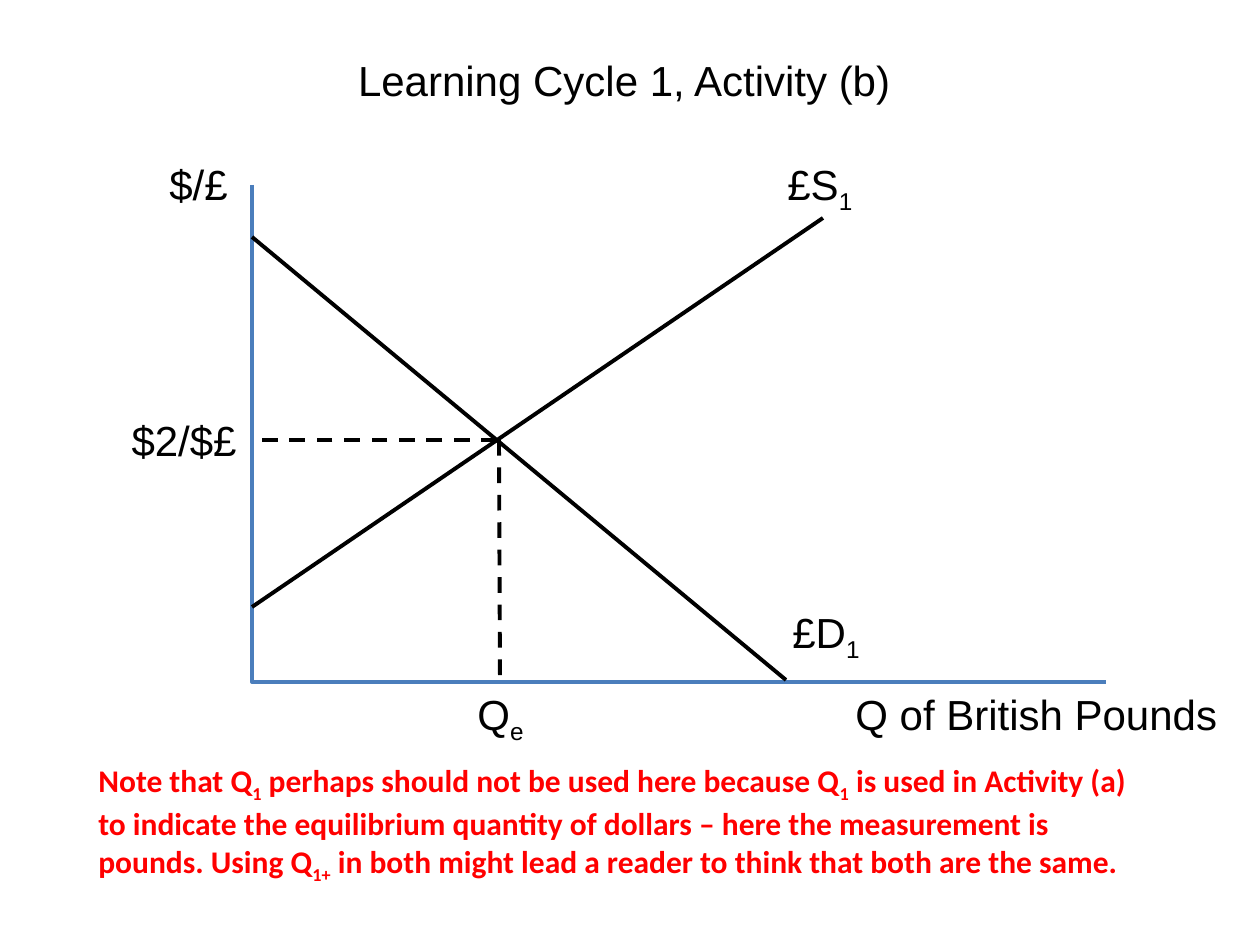
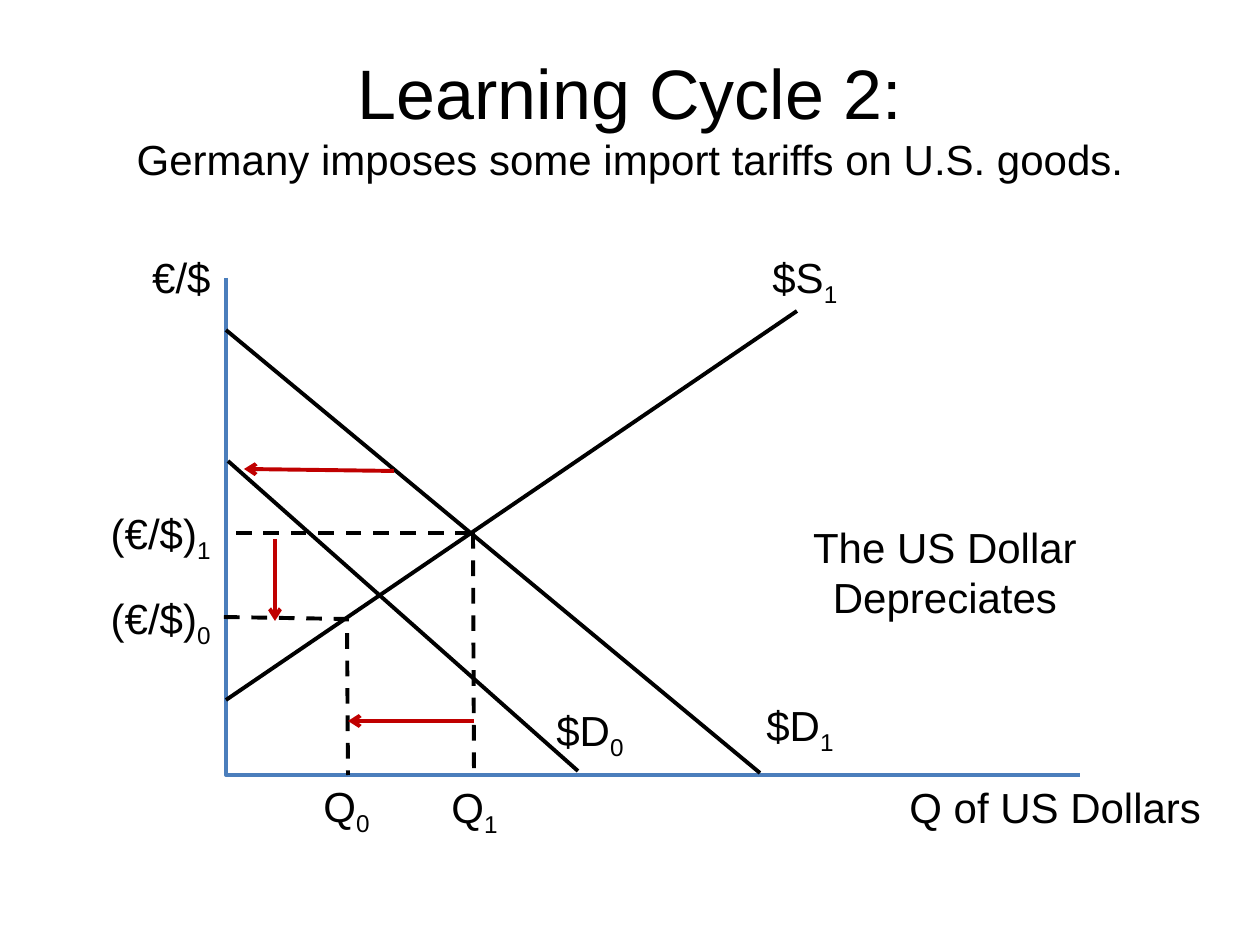
from lxml import etree
from pptx import Presentation
from pptx.dml.color import RGBColor
from pptx.enum.dml import MSO_LINE
from pptx.enum.shapes import MSO_CONNECTOR
from pptx.enum.text import MSO_ANCHOR, MSO_AUTO_SIZE, PP_ALIGN
from pptx.oxml.ns import qn
from pptx.util import Emu, Pt

BLACK = RGBColor(0x00, 0x00, 0x00)
AXIS_BLUE = RGBColor(0x4B, 0x7E, 0xBC)
SHIFT_RED = RGBColor(0xC0, 0x00, 0x00)
NOTE_RED = RGBColor(0xFF, 0x00, 0x00)
DASH = MSO_LINE.DASH
STRAIGHT = MSO_CONNECTOR.STRAIGHT
MIDDLE, TOP = MSO_ANCHOR.MIDDLE, MSO_ANCHOR.TOP
GROW = MSO_AUTO_SIZE.SHAPE_TO_FIT_TEXT
LEFT, CENTER, RIGHT = PP_ALIGN.LEFT, PP_ALIGN.CENTER, PP_ALIGN.RIGHT
LABEL_HEIGHT = 63
AXIS_WIDTH, AXIS_HEIGHT = 854, 497


def px(length):
    """Turn picture pixels into EMU."""
    return Emu(round(length * 914400 / 126))


def add_run(paragraph, text, size=24, font="Arial", color=BLACK, bold=False, sub=False):
    """Add one formatted run, lowered when it is a subscript."""
    run = paragraph.add_run()
    run.text = text
    run.font.size = Pt(size)
    run.font.name = font
    run.font.color.rgb = color
    run.font.bold = bold
    if sub:
        run.font._element.set("baseline", "-25000")


def text_frame(slide, box, anchor=TOP, wrap=True):
    """Add a text box and return its frame."""
    frame = slide.shapes.add_textbox(*map(px, box)).text_frame
    frame.word_wrap = wrap
    frame.vertical_anchor = anchor
    return frame


def add_text(slide, box, pieces, align=LEFT, wrap=False, **style):
    """Write pieces that alternate between normal text and subscript."""
    frame = text_frame(slide, box, wrap=wrap)
    frame.auto_size = GROW
    paragraph = frame.paragraphs[0]
    paragraph.alignment = align
    for index, piece in enumerate(pieces):
        add_run(paragraph, piece, sub=index % 2 == 1, **style)
    return frame


def add_title(slide, top, lines):
    """Write the centred title from lines of text and size."""
    frame = text_frame(slide, (63, top, 1134, 157), MIDDLE)
    paragraph = frame.paragraphs[0]
    paragraph.alignment = CENTER
    for index, (text, size) in enumerate(lines):
        if index:
            paragraph.add_line_break()
        add_run(paragraph, text, size)


def style_line(line, color, dashed=False):
    """Give a line its colour, weight and dash."""
    line.color.rgb = color
    line.width = Pt(2.25)
    if dashed:
        line.dash_style = DASH


def add_line(slide, origin, start, end, color=BLACK, dashed=False, arrow=False):
    """Draw a straight line between two points of the diagram."""
    points = [px(base + offset) for point in (start, end) for base, offset in zip(origin, point)]
    connector = slide.shapes.add_connector(STRAIGHT, *points)
    style_line(connector.line, color, dashed)
    properties = connector._element.spPr
    if arrow:
        etree.SubElement(properties.find(qn("a:ln")), qn("a:tailEnd"), type="arrow")
    etree.SubElement(properties, qn("a:effectLst"))


def add_polyline(slide, origin, points, color=BLACK, dashed=False):
    """Draw an open path through points of the diagram."""
    first, *rest = [(px(origin[0] + x), px(origin[1] + y)) for x, y in points]
    builder = slide.shapes.build_freeform(*first)
    builder.add_line_segments(rest, close=False)
    path = builder.convert_to_shape()
    path.shadow.inherit = False
    path.fill.background()
    style_line(path.line, color, dashed)


def add_label(slide, origin, x, y, width, pieces):
    """Write a label that starts at a point of the diagram."""
    add_text(slide, (origin[0] + x, origin[1] + y, width, LABEL_HEIGHT), pieces)


def add_axis_label(slide, origin, right, y, pieces):
    """Write a label that ends at the vertical axis."""
    box = (origin[0] + right - 145, origin[1] + y, 145, LABEL_HEIGHT)
    add_text(slide, box, pieces, RIGHT, wrap=True)


def add_market(slide, origin, currency, supply_x, price, quantity):
    """Draw the axes, supply, demand and their equilibrium."""
    corner = (0, AXIS_HEIGHT)
    add_polyline(slide, origin, [(0, 0), corner, (AXIS_WIDTH, AXIS_HEIGHT)], AXIS_BLUE)
    add_line(slide, origin, (0, 422), (571, 33))
    add_line(slide, origin, (0, 52), (534, 495))
    add_line(slide, origin, (245, 255), (0, 255), dashed=True)
    add_line(slide, origin, (247, 255), (248, 495), dashed=True)
    add_label(slide, origin, supply_x, -33, 93, (currency + "S", "1"))
    add_label(slide, origin, 528, 415, 96, (currency + "D", "1"))
    add_axis_label(slide, origin, -3, 223, price)
    add_label(slide, origin, 213, AXIS_HEIGHT, 74, ("Q", quantity))


def add_demand_shift(slide, origin):
    """Draw the lower demand, its new price and quantity, and the arrows."""
    add_polyline(slide, origin, [(-2, 339), (121, 341), (122, AXIS_HEIGHT)], dashed=True)
    add_line(slide, origin, (2, 183), (352, 493))
    shifts = [((49, 261), (49, 343)), ((248, 443), (122, 443)), ((168, 193), (18, 191))]
    for start, end in shifts:
        add_line(slide, origin, start, end, SHIFT_RED, arrow=True)
    add_label(slide, origin, 85, 496, 74, ("Q", "0"))
    add_label(slide, origin, 318, 420, 96, ("$D", "0"))
    add_axis_label(slide, origin, -3, 308, ("(€/$)", "0"))


def pounds_slide(slide):
    """Build the market for British pounds with its note."""
    origin = (252, 185)
    add_title(slide, 1, [("Learning Cycle 1, Activity (b) ", 24)])
    add_market(slide, origin, "£", 523, ("$2/$£",), "e")
    add_axis_label(slide, origin, -12, -33, ("$/£",))
    add_label(slide, origin, 591, AXIS_HEIGHT, 391, ("Q of British Pounds",))
    note = (
        "Note that Q", "1",
        " perhaps should not be used here because Q", "1",
        " is used in Activity (a) to indicate the equilibrium quantity of dollars"
        " – here the measurement is pounds. Using Q", "1+",
        " in both might lead a reader to think that both are the same.",
    )
    add_text(slide, (86, 755, 1082, 165), note, wrap=True,
             size=18, font="Calibri", color=NOTE_RED, bold=True)


def dollars_slide(slide):
    """Build the market for US dollars with its fall in demand."""
    origin = (226, 278)
    add_title(slide, 38, [
        ("Learning Cycle 2:", 40),
        ("Germany imposes some import tariffs on U.S. goods.", 24),
    ])
    add_market(slide, origin, "$", 534, ("(€/$)", "1"), "1")
    add_axis_label(slide, origin, -3, -33, ("€/$",))
    add_label(slide, origin, 671, AXIS_HEIGHT, 320, ("Q of US Dollars",))
    add_demand_shift(slide, origin)
    outcome = add_text(slide, (799, 515, 292, 115), ("The US Dollar",), CENTER)
    second = outcome.add_paragraph()
    second.alignment = CENTER
    add_run(second, "Depreciates")


def main():
    """Build both slides and save them."""
    deck = Presentation()
    deck.slide_width, deck.slide_height = px(1260), px(945)
    for build in (pounds_slide, dollars_slide):
        build(deck.slides.add_slide(deck.slide_layouts[6]))
    deck.save("out.pptx")


main()
